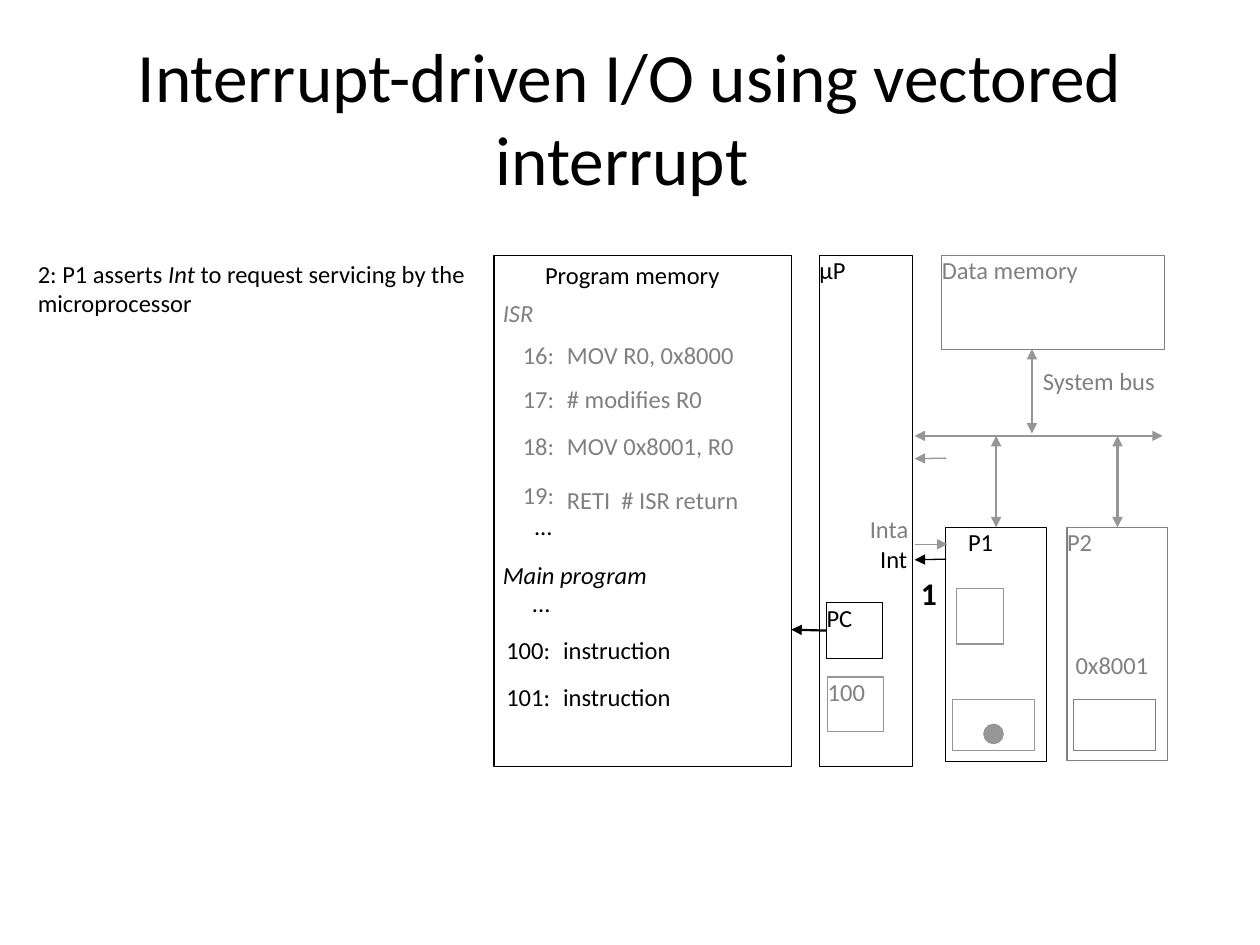
from lxml.etree import SubElement
from pptx import Presentation
from pptx.dml.color import RGBColor
from pptx.enum.shapes import MSO_CONNECTOR, MSO_SHAPE
from pptx.enum.text import MSO_ANCHOR, PP_ALIGN
from pptx.oxml.ns import qn
from pptx.util import Pt

COLORS = {
    "black": "000000",
    "white": "FFFFFF",
    "gray": "808080",
    "bus": "969696",
}
FONT = "Calibri"
TOP, LEFT = 0, 1


def color(name):
    return RGBColor.from_string(COLORS[name])


def format_runs(paragraph, ink="black", size=14, bold=False, italic=False):
    for run in paragraph.runs:
        run.font.name = FONT
        run.font.size = Pt(size)
        run.font.bold = bold
        run.font.italic = italic
        run.font.color.rgb = color(ink)


def clear_frame(frame, indent=0):
    frame.margin_left = Pt(indent)
    frame.margin_top = frame.margin_right = frame.margin_bottom = 0
    frame.vertical_anchor = MSO_ANCHOR.TOP
    frame.word_wrap = True


def add_title(slide, text):
    title = slide.shapes.title
    title.left, title.top, title.width, title.height = Pt(36), Pt(21.6), Pt(648), Pt(90)
    title.text_frame.text = text
    title.text_frame.vertical_anchor = MSO_ANCHOR.MIDDLE
    heading = title.text_frame.paragraphs[0]
    heading.alignment = PP_ALIGN.CENTER
    format_runs(heading, size=39.6)


def add_label(slide, text, x, y, width, height=28, right=False, **style):
    label = slide.shapes.add_textbox(Pt(x), Pt(y), Pt(width), Pt(height))
    clear_frame(label.text_frame)
    paragraph = label.text_frame.paragraphs[0]
    paragraph.text = text
    paragraph.alignment = PP_ALIGN.RIGHT if right else PP_ALIGN.LEFT
    format_runs(paragraph, **style)


def add_step(slide, parts, x, y, width, height):
    step = slide.shapes.add_textbox(Pt(x), Pt(y), Pt(width), Pt(height))
    clear_frame(step.text_frame)
    paragraph = step.text_frame.paragraphs[0]
    for part in parts:
        paragraph.add_run().text = part
    format_runs(paragraph)
    paragraph.runs[1].font.italic = True


def add_block(slide, x, y, width, height, border="black", text="", ink="black",
              fill="white", indent=0, weight=0.75, outline=MSO_SHAPE.RECTANGLE):
    block = slide.shapes.add_shape(outline, Pt(x), Pt(y), Pt(width), Pt(height))
    block.shadow.inherit = False
    block.line.color.rgb = color(border)
    block.line.width = Pt(weight)
    if fill:
        block.fill.solid()
        block.fill.fore_color.rgb = color(fill)
    else:
        block.fill.background()
    if text:
        clear_frame(block.text_frame, indent)
        paragraph = block.text_frame.paragraphs[0]
        paragraph.text = text
        paragraph.alignment = PP_ALIGN.LEFT
        format_runs(paragraph, ink)
    return block


def add_arrow(slide, x1, y1, x2, y2, ink="bus", weight=1.25, both=False):
    arrow = slide.shapes.add_connector(
        MSO_CONNECTOR.STRAIGHT, Pt(x1), Pt(y1), Pt(x2), Pt(y2))
    arrow.line.color.rgb = color(ink)
    arrow.line.width = Pt(weight)
    line = arrow.line._get_or_add_ln()
    for end in ("a:headEnd", "a:tailEnd") if both else ("a:tailEnd",):
        SubElement(line, qn(end)).set("type", "triangle")
    SubElement(arrow._element.spPr, qn("a:effectLst"))
    return arrow


def add_program_memory(slide):
    add_block(slide, 282.3, 145.9, 169.9, 292.2)
    add_label(slide, "Program memory", 311.5, 148.7, 116)
    add_label(slide, "ISR", 287.3, 170.6, 37, ink="gray", italic=True)
    isr = [
        ("16:", "MOV R0, 0x8000", 194.4, 194.4),
        ("17:", "# modifies R0", 219.6, 219.6),
        ("18:", "MOV 0x8001, R0", 246.2, 246.2),
        ("19:", "RETI  # ISR return", 274.3, 277.2),
    ]
    for address, code, address_y, code_y in isr:
        add_label(slide, address, 286.2, address_y, 30.5, right=True, ink="gray")
        add_label(slide, code, 324, code_y, 127, ink="gray")
    add_label(slide, "...", 294.2, 292.3, 21.6, right=True)
    add_label(slide, "Main program", 287.3, 320.1, 99.4, italic=True)
    add_label(slide, "...", 293, 336.2, 21.6, right=True)
    for address, y in (("100:", 362.9), ("101:", 389.5)):
        add_label(slide, address, 280, y, 34.4, right=True)
        add_label(slide, "instruction", 321.8, y, 76)


def add_processor(slide):
    add_block(slide, 468.3, 145.9, 53.3, 292.2, text="μP")
    counter = add_block(slide, 472.3, 344.5, 31.9, 31.7, text="PC")
    add_block(slide, 473, 386.9, 31.9, 31.3, "bus", "100", "gray")
    fetch = add_arrow(slide, 472.3, 360.35, 452.2, 359.8, "black")
    fetch.begin_connect(counter, LEFT)


def add_peripherals(slide):
    p1 = add_block(slide, 540.4, 301.4, 57.6, 133.7, text="P1", indent=12.8)
    p2 = add_block(slide, 609.8, 301.4, 57.6, 133.2, "gray", "P2", "gray")
    add_block(slide, 544.3, 399.9, 46.8, 29.2, "bus", fill=None)
    add_block(slide, 613.4, 399.9, 46.8, 29.2, "gray")
    add_block(slide, 546.5, 336.2, 26.9, 31.9, "bus", fill=None)
    add_label(slide, "0x8001", 614.6, 371.5, 47.5, ink="gray")
    add_block(slide, 562.3, 414, 10.8, 10.8, "bus", fill="bus", weight=1,
              outline=MSO_SHAPE.OVAL)
    for peripheral, x in ((p1, 569.2), (p2, 638.6)):
        link = add_arrow(slide, x, 249.1, x, 301.4, both=True)
        link.end_connect(peripheral, TOP)


def add_bus(slide):
    add_block(slide, 538.2, 145.9, 127.4, 54, "gray", "Data memory", "gray", fill=None)
    add_label(slide, "System bus", 595.9, 209.2, 75.6, ink="gray")
    add_arrow(slide, 522.7, 249.1, 664.4, 249.1, both=True)
    add_arrow(slide, 589.7, 199.4, 589.7, 247.7, both=True)


def add_interrupt_signals(slide):
    add_label(slide, "Inta", 490.3, 293.8, 28.8, right=True, ink="gray")
    add_label(slide, "Int", 494.6, 311, 23.8, right=True)
    add_label(slide, "1", 526.3, 327.9, 23.8, bold=True, size=18)
    add_arrow(slide, 540.7, 261.8, 522.7, 262.1, weight=0.75)
    add_arrow(slide, 522.7, 311, 541.4, 311, weight=0.75)
    add_arrow(slide, 540.7, 319.5, 522.7, 319.9, "black", 0.75)


def main():
    presentation = Presentation()
    presentation.slide_width, presentation.slide_height = Pt(720), Pt(540)
    slide = presentation.slides.add_slide(presentation.slide_layouts[5])
    add_title(slide, "Interrupt-driven I/O using vectored interrupt ")
    add_processor(slide)
    add_peripherals(slide)
    add_bus(slide)
    add_program_memory(slide)
    add_interrupt_signals(slide)
    add_step(slide, ["2: P1 asserts ", "Int", " to request servicing by the microprocessor"],
             21.6, 147.9, 244.8, 33.8)
    presentation.save("out.pptx")


if __name__ == "__main__":
    main()
